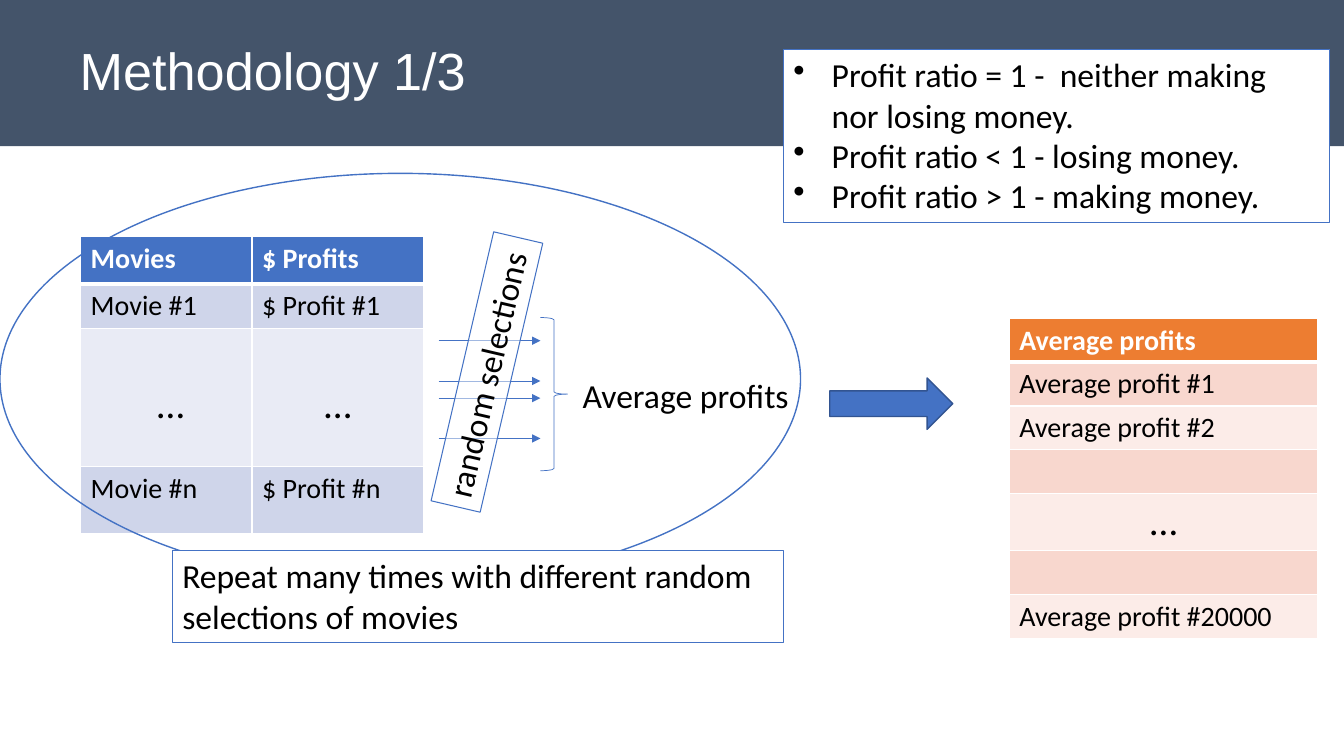
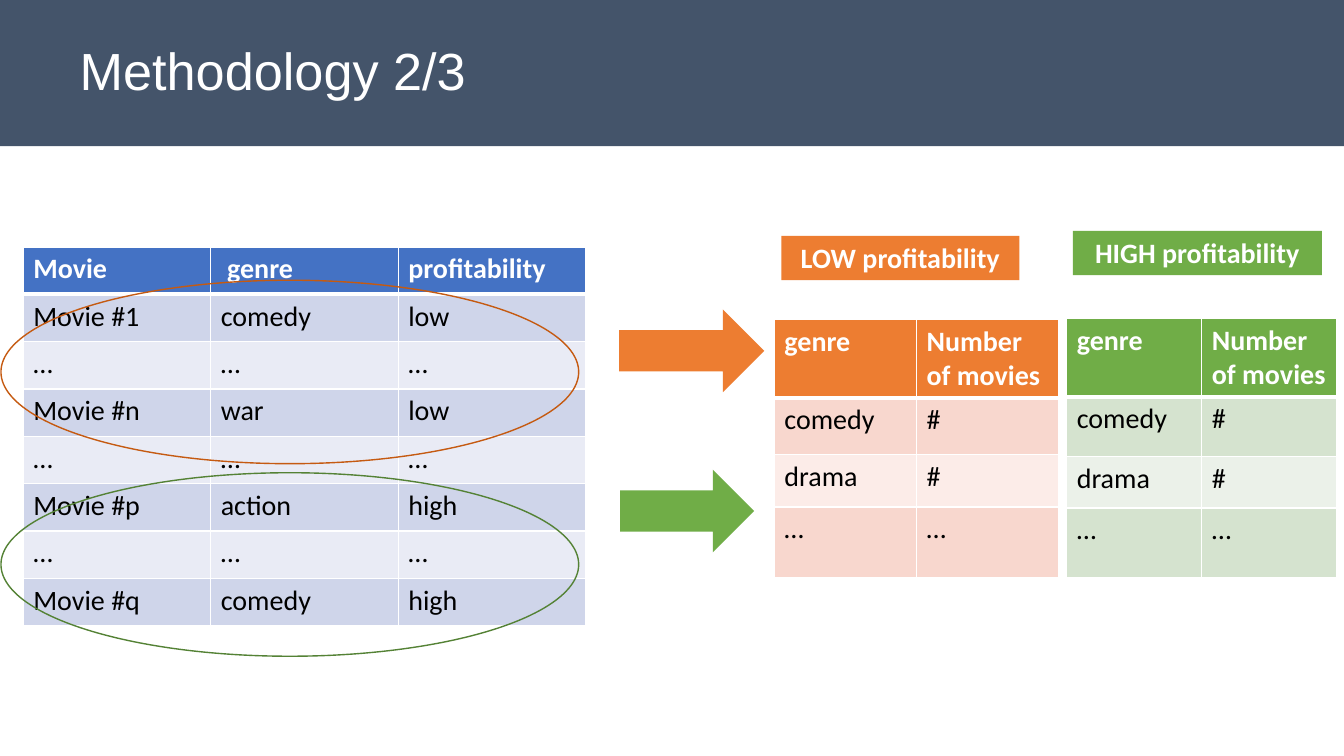
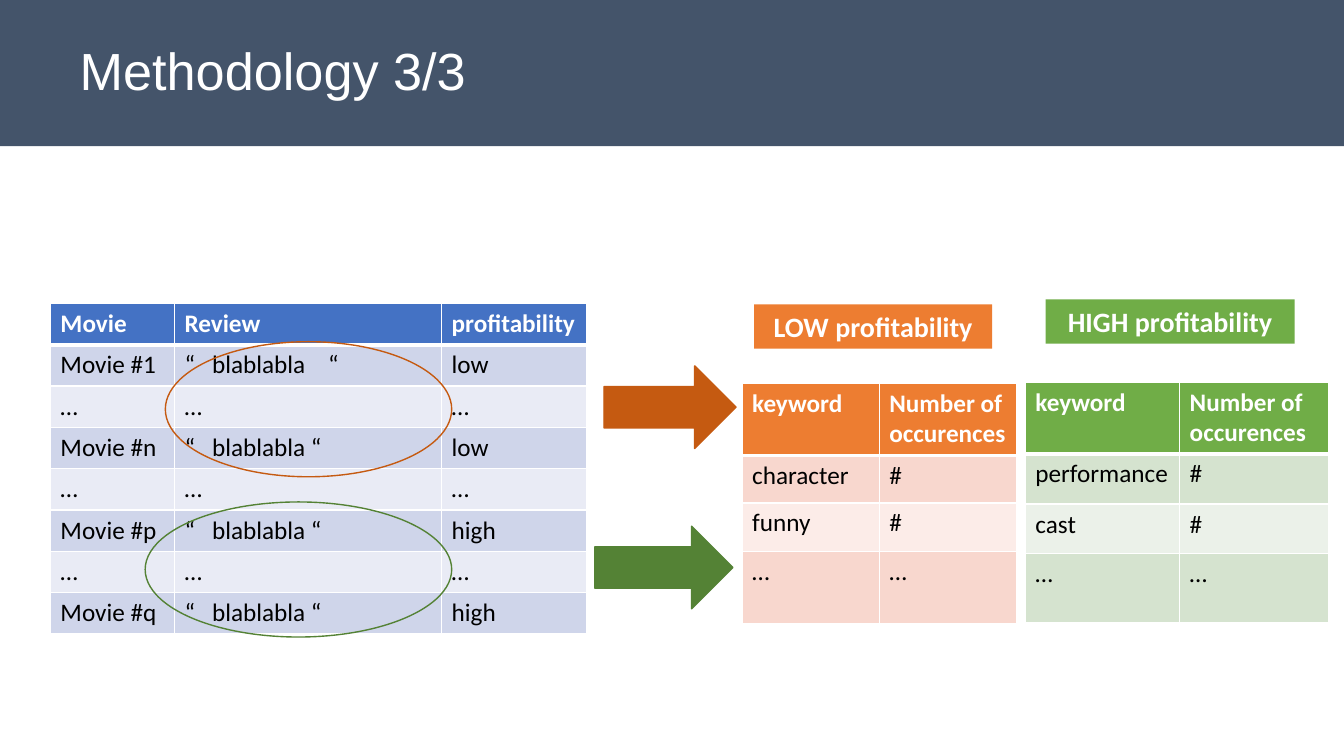
import pptx
import pptx.dml.color
import pptx.enum.shapes
import pptx.enum.text
import pptx.oxml
import pptx.oxml.ns
import pptx.util
from lxml import etree

Inches = pptx.util.Inches
Pt = pptx.util.Pt
RGBColor = pptx.dml.color.RGBColor
Shape = pptx.enum.shapes.MSO_SHAPE
Align = pptx.enum.text.PP_ALIGN
Anchor = pptx.enum.text.MSO_ANCHOR
AutoSize = pptx.enum.text.MSO_AUTO_SIZE
qn = pptx.oxml.ns.qn

WHITE = RGBColor(0xFF, 0xFF, 0xFF)
BLACK = RGBColor(0x00, 0x00, 0x00)
SLATE = RGBColor(0x44, 0x54, 0x6A)
BLUE = RGBColor(0x44, 0x72, 0xC4)
DARK_BLUE = RGBColor(0x32, 0x54, 0x91)
ORANGE = RGBColor(0xED, 0x7D, 0x31)
DARK_ORANGE = RGBColor(0xC5, 0x5A, 0x11)
GREEN = RGBColor(0x70, 0xAD, 0x47)
DARK_GREEN = RGBColor(0x54, 0x82, 0x35)

# Body bands of a table, by the colour of its header
BANDS = {
    BLUE: (RGBColor(0xCF, 0xD5, 0xEA), RGBColor(0xE9, 0xEB, 0xF5)),
    ORANGE: (RGBColor(0xF8, 0xD7, 0xCE), RGBColor(0xFC, 0xEC, 0xE8)),
    GREEN: (RGBColor(0xD5, 0xE3, 0xCF), RGBColor(0xEB, 0xF1, 0xE9)),
}
SLIDE_WIDTH = 13.33
GAP_ROW = ("…", "…", "…")


class Deck:
    """The shared style and the slide being filled."""

    def __init__(self):
        self.presentation = pptx.Presentation()
        self.presentation.slide_width = Inches(SLIDE_WIDTH)
        self.presentation.slide_height = Inches(7.5)
        self.slide = None

    def new_slide(self, heading):
        self.slide = self.presentation.slides.add_slide(self.presentation.slide_layouts[5])
        title = self.slide.shapes.title
        title.left, title.top = Inches(0), Inches(0)
        title.width, title.height = Inches(SLIDE_WIDTH), Inches(1.45)
        title.fill.solid()
        title.fill.fore_color.rgb = SLATE
        frame = title.text_frame
        frame.text = heading
        frame.auto_size = AutoSize.NONE
        frame.word_wrap = True
        frame.vertical_anchor = Anchor.MIDDLE
        frame.margin_left, frame.margin_right = Inches(0.79), Inches(0.13)
        frame.margin_top = frame.margin_bottom = Inches(0.07)
        paragraph = frame.paragraphs[0]
        paragraph.alignment = Align.LEFT
        paragraph.line_spacing = 0.9
        self.style(paragraph, 37.3, WHITE, name="Arial")

    def style(self, paragraph, size, color, bold=False, name="Calibri"):
        font = paragraph.font
        font.name, font.size, font.bold = name, Pt(size), bold
        font.color.rgb = color

    def shape(self, kind, box, fill=None, line=None, line_width=1):
        shape = self.slide.shapes.add_shape(kind, *map(Inches, box))
        shape.shadow.inherit = False
        if fill is None:
            shape.fill.background()
        else:
            shape.fill.solid()
            shape.fill.fore_color.rgb = fill
        if line is None:
            shape.line.fill.background()
        else:
            shape.line.color.rgb = line
            shape.line.width = Pt(line_width)
        return shape

    def set_text(self, frame, lines, size=24, color=BLACK, bold=False, align=Align.LEFT):
        frame.word_wrap = True
        frame.vertical_anchor = Anchor.TOP
        frame.text = "\n".join(lines)
        for paragraph in frame.paragraphs:
            paragraph.alignment = align
            self.style(paragraph, size, color, bold)

    def note(self, box, *lines):
        note = self.shape(Shape.RECTANGLE, box, WHITE, BLUE, 0.75)
        self.set_text(note.text_frame, lines)
        return note

    def tag(self, left, top, width, text, fill):
        tag = self.shape(Shape.RECTANGLE, (left, top, width, 0.44), fill)
        self.set_text(tag.text_frame, [text], 20, WHITE, True, Align.CENTER)

    def caption(self, box, text):
        caption = self.slide.shapes.add_textbox(*map(Inches, box))
        self.set_text(caption.text_frame, [text])

    def bullet(self, note):
        for paragraph in note.text_frame.paragraphs:
            properties = paragraph._p.get_or_add_pPr()
            properties.set("marL", str(Inches(0.38)))
            properties.set("indent", str(-Inches(0.38)))
            mark = pptx.oxml.parse_xml(
                '<a:buChar xmlns:a="http://schemas.openxmlformats.org/drawingml/2006/main" char="•"/>')
            properties.find(qn("a:defRPr")).addprevious(mark)

    def arrow_line(self, left, right, y):
        arrow = self.slide.shapes.add_connector(
            pptx.enum.shapes.MSO_CONNECTOR.STRAIGHT,
            Inches(left), Inches(y), Inches(right), Inches(y))
        arrow.line.color.rgb = BLUE
        arrow.line.width = Pt(0.5)
        etree.SubElement(arrow.line._get_or_add_ln(), qn("a:tailEnd"), type="triangle")
        etree.SubElement(arrow._element.spPr, qn("a:effectLst"))

    def table(self, left, top, widths, heights, rows, color, size=20):
        """Add a table whose first row is a header and whose body rows alternate."""
        table = self.slide.shapes.add_table(
            len(rows), len(widths), Inches(left), Inches(top),
            Inches(sum(widths)), Inches(sum(heights))).table
        for column, width in zip(table.columns, widths):
            column.width = Inches(width)
        for index, (row, height, texts) in enumerate(zip(table.rows, heights, rows)):
            row.height = Inches(height)
            header = index == 0
            for cell, text in zip(row.cells, texts):
                self.border(cell, 3 if index == 1 else 1, 3 if header else 1)
                cell.fill.solid()
                cell.fill.fore_color.rgb = color if header else BANDS[color][(index - 1) % 2]
                cell.text = text
                self.style(cell.text_frame.paragraphs[0], size, WHITE if header else BLACK, header)
        return table

    def border(self, cell, top, bottom):
        properties = cell._tc.get_or_add_tcPr()
        for side, width in (("L", 1), ("R", 1), ("T", top), ("B", bottom)):
            line = etree.SubElement(properties, qn(f"a:ln{side}"), w=str(Pt(width)))
            fill = etree.SubElement(line, qn("a:solidFill"))
            etree.SubElement(fill, qn("a:srgbClr"), val=str(WHITE))

    def enlarge(self, cell, margin_top=0.05):
        cell.margin_top = Inches(margin_top)
        paragraph = cell.text_frame.paragraphs[0]
        paragraph.alignment = Align.CENTER
        paragraph.font.size = Pt(28)


def sampling_slide(deck):
    deck.new_slide("Methodology 1/3")
    movies = deck.table(
        0.8, 2.35, [1.7] * 2, [0.47, 0.41, 1.37, 0.66],
        [("Movies", "$ Profits"), ("Movie #1", "$ Profit #1"),
         (" …", "…"), ("Movie #n", "$ Profit #n")], BLUE)
    for cell in movies.rows[2].cells:
        deck.enlarge(cell, 0.52)
    for y in (3.38, 3.78, 3.95, 4.35):
        deck.arrow_line(4.35, 5.36, y)
    deck.caption((5.68, 3.67, 2.47, 0.5), "Average profits")
    deck.shape(Shape.RIGHT_BRACE, (5.36, 3.15, 0.27, 1.52), line=BLUE, line_width=0.5)
    deck.shape(Shape.OVAL, (0, 1.72, 7.94, 4.08), line=BLUE)
    deck.note((1.71, 5.46, 6.06, 0.91),
              "Repeat many times with different random selections of movies")
    deck.shape(Shape.RIGHT_ARROW, (8.23, 3.75, 1.22, 0.51), BLUE, DARK_BLUE)

    averages = deck.table(
        10.01, 3.16, [3.06], [0.43] * 4 + [0.57] + [0.43] * 2,
        [("Average profits",), ("Average profit #1",), ("Average profit #2",),
         ("",), ("…",), ("",), ("Average profit #20000",)], ORANGE)
    deck.enlarge(averages.cell(4, 0))

    selections = deck.note((3.46, 3.44, 2.74, 0.5), "random selections")
    selections.rotation = 283.1
    white = selections.fill._xPr.find(qn("a:solidFill"))[0]
    etree.SubElement(white, qn("a:alpha"), val="50000")

    deck.bullet(deck.note(
        (7.77, 0.49, 5.42, 1.72),
        "Profit ratio = 1 -  neither making nor losing money.",
        "Profit ratio < 1 - losing money.",
        "Profit ratio > 1 - making money."))


def profitability_tags(deck, left, top):
    deck.tag(left, top, 2.36, "LOW profitability", ORANGE)
    deck.tag(left + 2.89, top - 0.05, 2.47, "HIGH profitability", GREEN)


def genre_slide(deck):
    deck.new_slide("Methodology 2/3")
    deck.table(
        0.23, 2.45, [1.86] * 3, [0.47] * 8,
        [("Movie", " genre", "profitability"),
         ("Movie #1", "comedy", "low"), GAP_ROW, ("Movie #n", "war", "low"), GAP_ROW,
         ("Movie #p", "action", "high"), GAP_ROW, ("Movie #q", "comedy", "high")], BLUE)
    counts = [("genre", "Number of movies"), ("comedy", "#"), ("drama", "#"), GAP_ROW[:2]]
    deck.table(7.68, 3.17, [1.41] * 2, [0.74, 0.56, 0.52, 0.7], counts, ORANGE)
    deck.table(10.58, 3.16, [1.34] * 2, [0.69, 0.59, 0.51, 0.69], counts, GREEN)
    profitability_tags(deck, 7.75, 2.34)
    deck.shape(Shape.RIGHT_ARROW, (6.14, 3.07, 1.44, 0.82), ORANGE)
    deck.shape(Shape.RIGHT_ARROW, (6.15, 4.66, 1.33, 0.82), GREEN)
    for top, color in ((2.78, DARK_ORANGE), (4.69, DARK_GREEN)):
        deck.shape(Shape.OVAL, (0.01, top, 5.73, 1.82), line=color)


def keyword_slide(deck):
    deck.new_slide("Methodology 3/3")
    review = "“   blablabla “"
    deck.table(
        0.5, 3.01, [1.23, 2.65, 1.44], [0.41] * 8,
        [("Movie", "Review", "profitability"),
         ("Movie #1", "“   blablabla    “", "low"), GAP_ROW, ("Movie #n", review, "low"), GAP_ROW,
         ("Movie #p", review, "high"), GAP_ROW, ("Movie #q", review, "high")], BLUE, 18)
    for left, top, widths, heights, keywords, color in (
            (7.36, 3.8, [1.36] * 2, [0.72, 0.47, 0.48, 0.72], ("character", "funny"), ORANGE),
            (10.17, 3.79, [1.53, 1.48], [0.69, 0.5, 0.49, 0.69], ("performance", "cast"), GREEN)):
        rows = [("keyword", "Number of occurences"),
                *((keyword, "#") for keyword in keywords), GAP_ROW[:2]]
        deck.table(left, top, widths, heights, rows, color, 18)
    for arrow, ring, color in (
            ((5.99, 3.63, 1.31, 0.82), (1.64, 3.39, 2.84, 1.34), DARK_ORANGE),
            ((5.9, 5.22, 1.37, 0.82), (1.44, 4.98, 3.04, 1.34), DARK_GREEN)):
        deck.shape(Shape.RIGHT_ARROW, arrow, color, color)
        deck.shape(Shape.OVAL, ring, line=color)
    profitability_tags(deck, 7.48, 3.02)


def main():
    deck = Deck()
    sampling_slide(deck)
    genre_slide(deck)
    keyword_slide(deck)
    deck.presentation.save("out.pptx")


if __name__ == "__main__":
    main()
